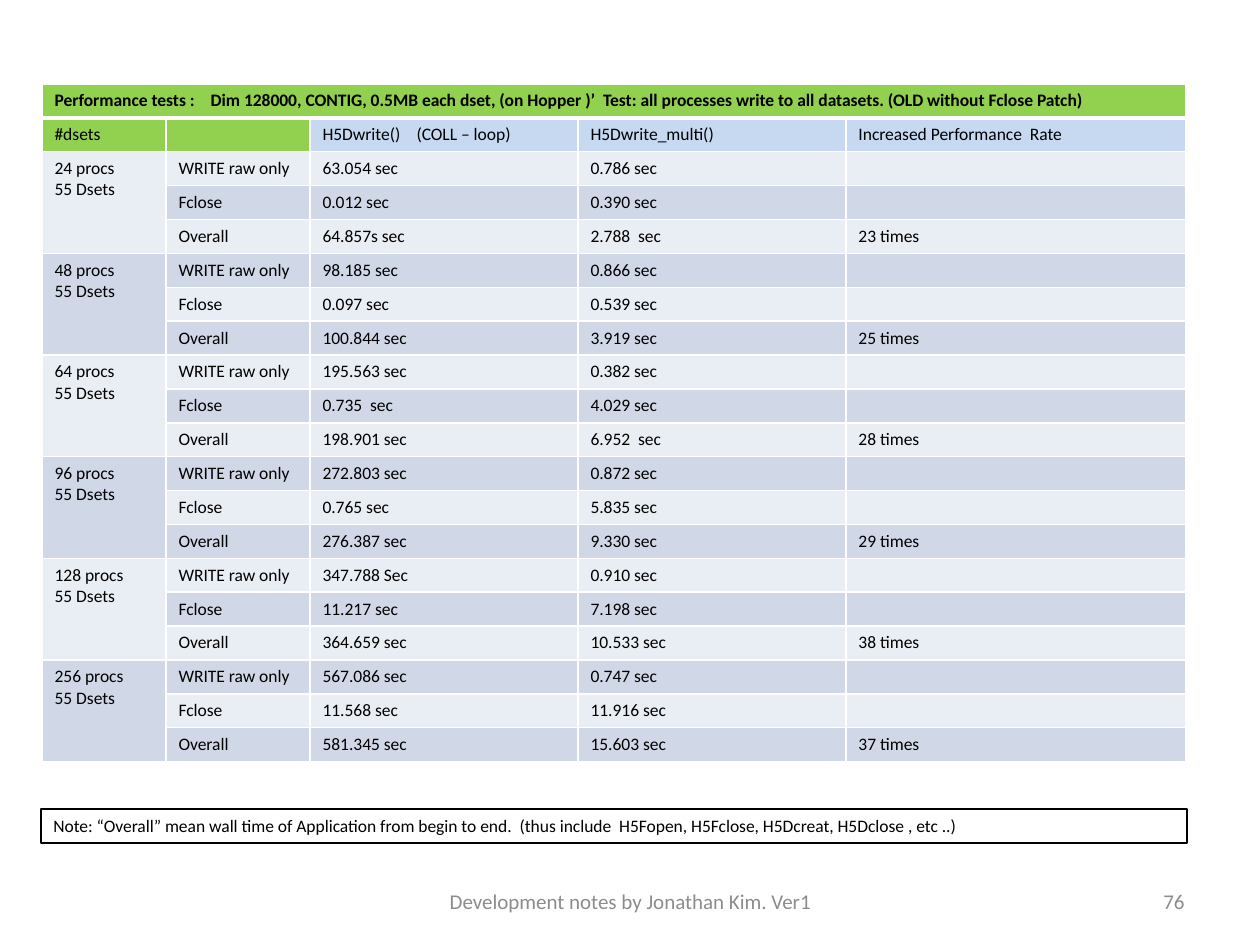
import lxml.etree
import pptx
import pptx.dml.color
import pptx.enum.shapes
import pptx.enum.text
import pptx.oxml.ns
import pptx.util

PX = 914400 // 126
GREEN, BLUE, LIGHT, DARK = "92D050", "C6D9F1", "E9EDF4", "D0D8E8"
ALIGN = pptx.enum.text.PP_ALIGN
qn = pptx.oxml.ns.qn


def color(value):
    return pptx.dml.color.RGBColor.from_string(value)


def write(paragraph, text, size=10, ink="000000", bold=False, tab=None):
    """Fill a paragraph; tab is the position in px of its tab stop."""
    if tab:
        properties = paragraph._p.get_or_add_pPr()
        stops = lxml.etree.SubElement(properties, qn("a:tabLst"))
        lxml.etree.SubElement(stops, qn("a:tab"), pos=str(tab * PX), algn="l")
    if not text:
        # An empty cell needs its own size, or its row grows.
        lxml.etree.SubElement(paragraph._p, qn("a:endParaRPr"), sz=str(size * 100))
        return
    run = paragraph.add_run()
    run.text = text
    run.font.name = "Calibri"
    run.font.size = pptx.util.Pt(size)
    run.font.bold = bold
    run.font.color.rgb = color(ink)


presentation = pptx.Presentation()
presentation.slide_width = 1260 * PX
presentation.slide_height = 945 * PX
slide = presentation.slides.add_slide(presentation.slide_layouts[6])

# Performance table: a title row, a header row and three rows per process count
title = ("Performance tests :\tDim 128000, CONTIG, 0.5MB each dset, (on Hopper )’  "
         "Test: all processes write to all datasets. (OLD without Fclose Patch)")
headers = ["#dsets", "", "H5Dwrite()\t(COLL – loop)", "H5Dwrite_multi()",
           "Increased Performance  Rate"]
tabs = {title: 156, headers[2]: 94}
measures = ["WRITE raw only", "Fclose", "Overall"]
results = [
    (24, ["63.054 sec", "0.012 sec", "64.857s sec"],
     ["0.786 sec", "0.390 sec", "2.788  sec"], "23 times"),
    (48, ["98.185 sec", "0.097 sec", "100.844 sec"],
     ["0.866 sec", "0.539 sec", "3.919 sec"], "25 times"),
    (64, ["195.563 sec", "0.735  sec", "198.901 sec"],
     ["0.382 sec", "4.029 sec", "6.952  sec"], "28 times"),
    (96, ["272.803 sec", "0.765 sec", "276.387 sec"],
     ["0.872 sec", "5.835 sec", "9.330 sec"], "29 times"),
    (128, ["347.788 Sec", "11.217 sec", "364.659 sec"],
     ["0.910 sec", "7.198 sec", "10.533 sec"], "38 times"),
    (256, ["567.086 sec", "11.568 sec", "581.345 sec"],
     ["0.747 sec", "11.916 sec", "15.603 sec"], "37 times"),
]
rows = [[title, "", "", "", ""], headers]
fills = [[GREEN] * 5, [GREEN] * 2 + [BLUE] * 3]
for group, (processes, single, multi, rate) in enumerate(results):
    group_fill = DARK if group % 2 else LIGHT
    labels = [f"{processes} procs\n55 Dsets", "", ""]
    for row in zip(labels, measures, single, multi, ["", "", rate]):
        fills.append([group_fill] + [DARK if len(rows) % 2 else LIGHT] * 4)
        rows.append(row)

column_widths = [124, 144, 268, 268, 340]
row_height = 33
frame = slide.shapes.add_table(len(rows), len(column_widths), 42 * PX, 84 * PX,
                               sum(column_widths) * PX, len(rows) * row_height * PX)
table = frame.table
table.horz_banding = False
for column, width in zip(table.columns, column_widths):
    column.width = width * PX
for row in table.rows:
    row.height = row_height * PX

table.cell(0, 0).merge(table.cell(0, 4))
for first in range(2, len(rows), 3):
    table.cell(first, 0).merge(table.cell(first + 2, 0))

for row_index, row in enumerate(rows):
    for column_index, text in enumerate(row):
        cell = table.cell(row_index, column_index)
        cell.fill.solid()
        cell.fill.fore_color.rgb = color(fills[row_index][column_index])
        for line_index, line in enumerate(text.split("\n")):
            text_frame = cell.text_frame
            paragraph = text_frame.add_paragraph() if line_index else text_frame.paragraphs[0]
            write(paragraph, line, bold=row_index == 0, tab=tabs.get(line))
        for position, side in enumerate(["lnL", "lnR", "lnT", "lnB"]):
            under_title = (row_index, side) in [(0, "lnB"), (1, "lnT")]
            border = lxml.etree.Element(qn(f"a:{side}"), w=str(pptx.util.Pt(3 if under_title else 1)))
            fill = lxml.etree.SubElement(border, qn("a:solidFill"))
            lxml.etree.SubElement(fill, qn("a:srgbClr"), val="FFFFFF")
            cell._tc.get_or_add_tcPr().insert(position, border)

# Note
note = slide.shapes.add_shape(pptx.enum.shapes.MSO_SHAPE.RECTANGLE,
                              41 * PX, 809 * PX, 1146 * PX, 34 * PX)
note.shadow.inherit = False
note.fill.background()
note.line.color.rgb = color("000000")
note.line.width = pptx.util.Pt(0.75)
note.text_frame.word_wrap = True
note.text_frame.vertical_anchor = pptx.enum.text.MSO_ANCHOR.TOP
note.text_frame.paragraphs[0].alignment = ALIGN.LEFT
write(note.text_frame.paragraphs[0],
      "Note: “Overall” mean wall time of Application from begin to end.  "
      "(thus include  H5Fopen, H5Fclose, H5Dcreat, H5Dclose , etc ..)")

# Footer and slide number
for left, width, alignment, text in [
    (431, 399, ALIGN.CENTER, "Development notes by Jonathan Kim. Ver1"),
    (903, 294, ALIGN.RIGHT, "76"),
]:
    footer = slide.shapes.add_textbox(left * PX, 876 * PX, width * PX, 50 * PX)
    footer.text_frame.word_wrap = True
    footer.text_frame.vertical_anchor = pptx.enum.text.MSO_ANCHOR.MIDDLE
    footer.text_frame.paragraphs[0].alignment = alignment
    write(footer.text_frame.paragraphs[0], text, size=12, ink="8C8C8C")

presentation.save("out.pptx")
